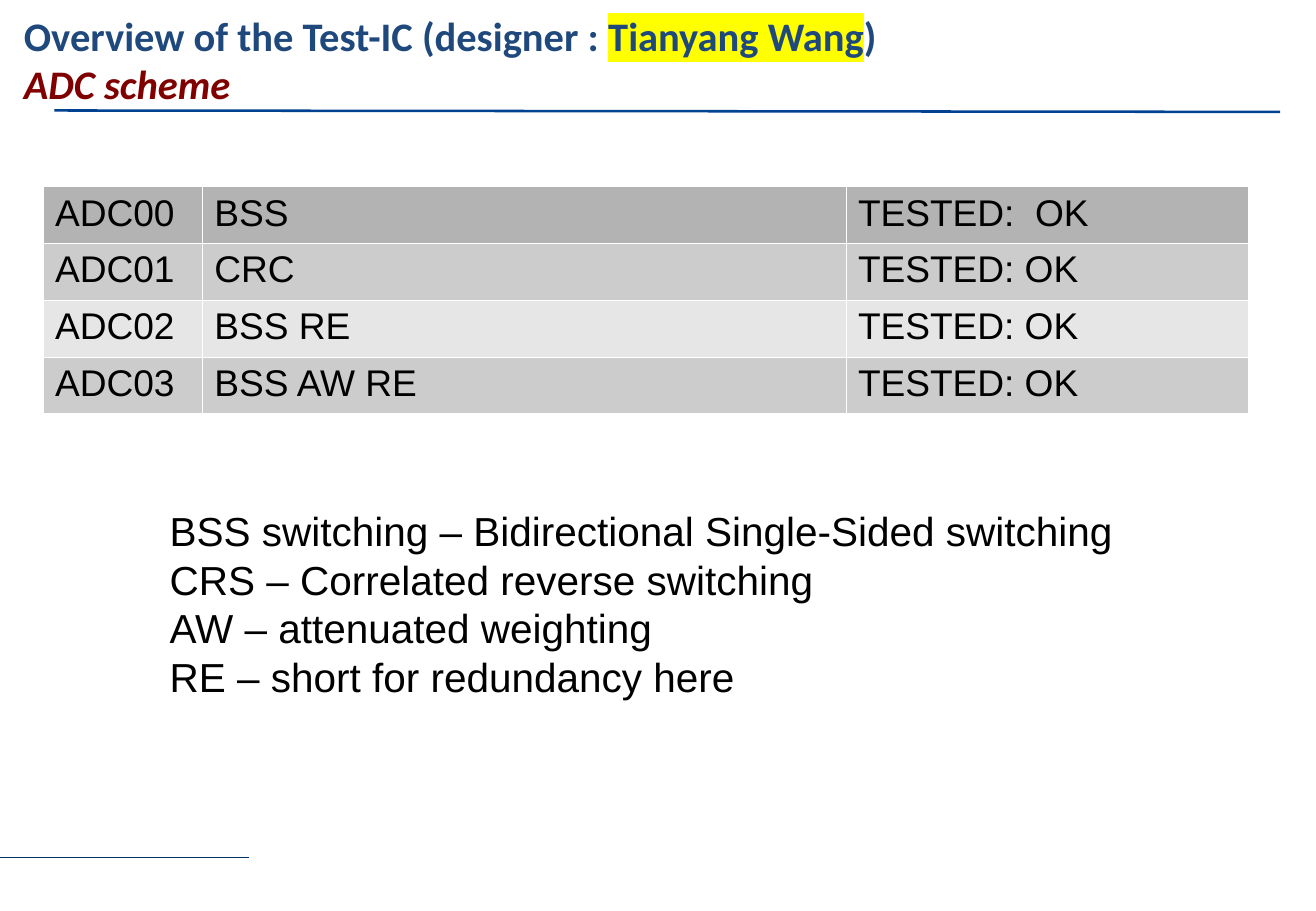
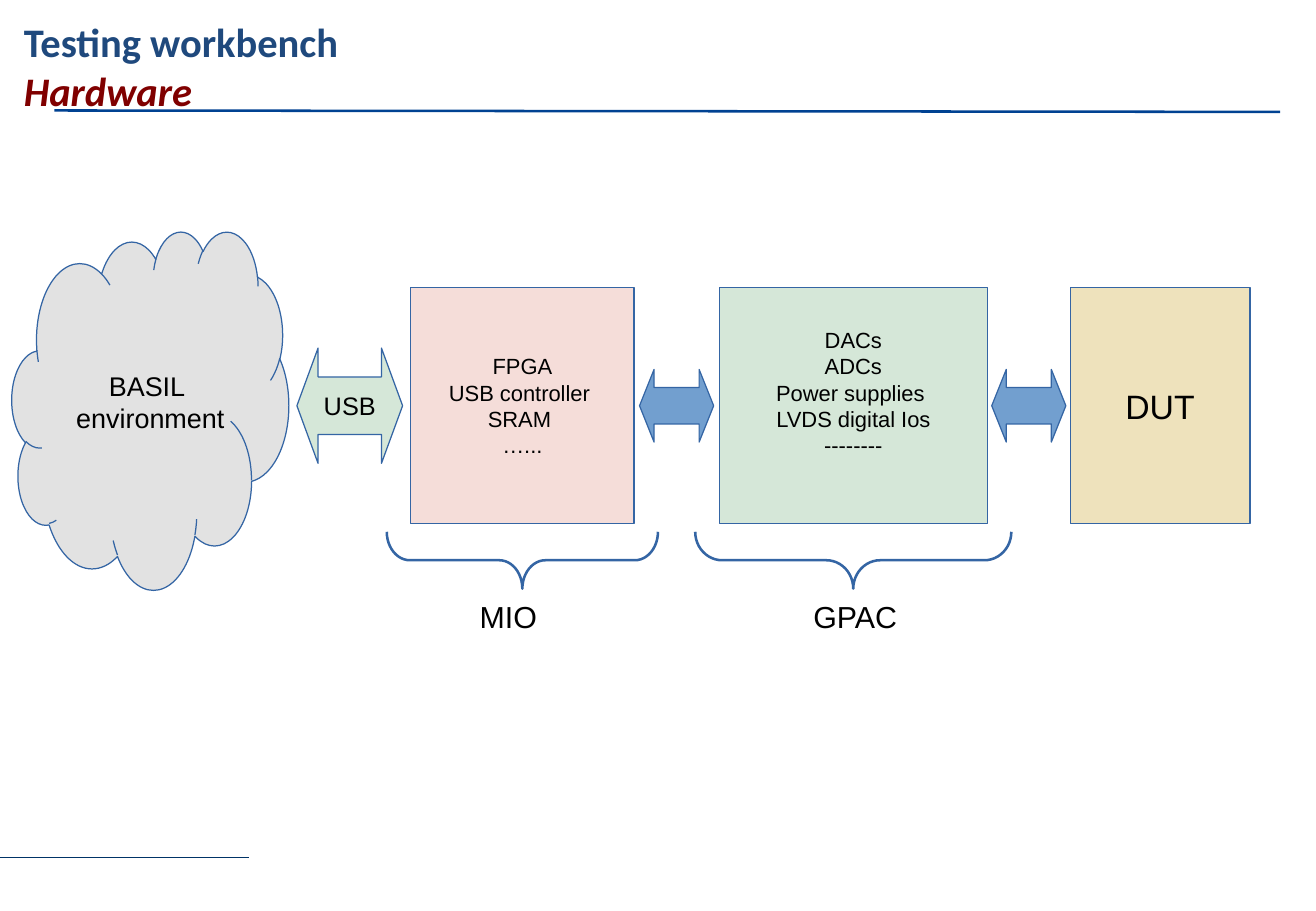
from collections import namedtuple

from lxml.etree import SubElement
from pptx import Presentation
from pptx.dml.color import RGBColor
from pptx.enum.shapes import MSO_CONNECTOR, MSO_SHAPE
from pptx.enum.text import MSO_ANCHOR, PP_ALIGN
from pptx.oxml.ns import qn
from pptx.util import Cm, Pt

COLORS = {
    "title": "1F497D", "subtitle": "800000", "highlight": "FFFF00",
    "title_rule": "004292", "footer_rule": "003366",
    "text": "000000", "outline": "3465A4", "border": "FFFFFF",
    "table_head": "B3B3B3", "table_odd": "CCCCCC", "table_even": "E6E6E6",
    "cloud": "E2E2E2", "green": "D5E7D8", "pink": "F5DDD9",
    "sand": "EEE2BC", "link": "729FCF",
}
BODY_FONT, TITLE_FONT = "Arial", "Calibri"

Box = namedtuple("Box", "left top width height")
Module = namedtuple("Module", "left width fill size lines bottom_inset")


def rgb(name):
    """Return the named palette colour."""
    return RGBColor.from_string(COLORS[name])


def place(box):
    """Turn a box in centimetres into lengths."""
    return [Cm(value) for value in box]


def add_run(paragraph, text, size, color="text", font=BODY_FONT, bold=None, italic=None):
    """Append one formatted run and return it."""
    run = paragraph.add_run()
    run.text = text
    run.font.size = Pt(size)
    run.font.name = font
    run.font.bold = bold
    run.font.italic = italic
    run.font.color.rgb = rgb(color)
    return run


def highlight(run):
    """Mark a run with the highlight colour."""
    marker = run.font._element.makeelement(qn("a:highlight"), {})
    SubElement(marker, qn("a:srgbClr"), val=COLORS["highlight"])
    run.font._element.find(qn("a:solidFill")).addnext(marker)


def write_lines(frame, lines, size, align=PP_ALIGN.LEFT):
    """Write one paragraph for each line."""
    for index, line in enumerate(lines):
        paragraph = frame.paragraphs[0] if index == 0 else frame.add_paragraph()
        paragraph.alignment = align
        add_run(paragraph, line, size)


def add_text(slide, box, lines, size):
    """Place a left-aligned text box."""
    frame = slide.shapes.add_textbox(*place(box)).text_frame
    frame.word_wrap = True
    write_lines(frame, lines, size)


def add_rule(slide, start, end, color, width):
    """Draw a straight line without shadow."""
    rule = slide.shapes.add_connector(MSO_CONNECTOR.STRAIGHT, *place(start + end))
    rule.line.color.rgb = rgb(color)
    rule.line.width = Pt(width)
    SubElement(rule._element.spPr, qn("a:effectLst"))


def add_figure(slide, preset, box, fill=None, line_width=0, adjustments=()):
    """Place a preset shape in the diagram style."""
    figure = slide.shapes.add_shape(preset, *place(box))
    figure.shadow.inherit = False
    for index, value in enumerate(adjustments):
        figure.adjustments[index] = value
    if fill:
        figure.fill.solid()
        figure.fill.fore_color.rgb = rgb(fill)
    else:
        figure.fill.background()
    figure.line.color.rgb = rgb("outline")
    figure.line.width = Pt(line_width)
    return figure


def label_figure(figure, lines, size, left_inset=0.25, bottom_inset=0.13):
    """Centre lines of text inside a figure."""
    frame = figure.text_frame
    frame.word_wrap = False
    frame.vertical_anchor = MSO_ANCHOR.MIDDLE
    frame.margin_left, frame.margin_bottom = Cm(left_inset), Cm(bottom_inset)
    write_lines(frame, lines, size, PP_ALIGN.CENTER)


def new_slide(deck, title_top, title_parts, subtitle):
    """Add a slide with rules, title and subtitle; title parts are (text, marked)."""
    slide = deck.slides.add_slide(deck.slide_layouts[6])
    add_rule(slide, (1.14, 2.31), (26.77, 2.34), "title_rule", 1.5)
    add_rule(slide, (0, 17.93), (5.21, 17.93), "footer_rule", 0.75)
    frame = slide.shapes.add_textbox(*place(Box(0.25, title_top, 20.8, 2.3))).text_frame
    frame.word_wrap = True
    heading = frame.paragraphs[0]
    for text, marked in title_parts:
        run = add_run(heading, text, 24, "title", TITLE_FONT, bold=True)
        if marked:
            highlight(run)
    heading.add_line_break()
    add_run(heading, subtitle, 24, "subtitle", TITLE_FONT, bold=True, italic=True)
    return slide


def add_borders(cell):
    """Give a cell thin borders on all sides, ahead of its fill."""
    properties = cell._tc.get_or_add_tcPr()
    for index, side in enumerate(("a:lnL", "a:lnR", "a:lnT", "a:lnB")):
        edge = properties.makeelement(qn(side), {"w": str(Pt(0.06))})
        SubElement(SubElement(edge, qn("a:solidFill")), qn("a:srgbClr"), val=COLORS["border"])
        properties.insert(index, edge)


def add_scheme_table(slide, box, rows, shares):
    """Fill the box with the converter table; shares are the column widths."""
    table = slide.shapes.add_table(len(rows), len(shares), *place(box)).table
    for column, share in zip(table.columns, shares):
        column.width = Cm(box.width * share / sum(shares))
    for row_index, row in enumerate(rows):
        table.rows[row_index].height = Cm(box.height / len(rows))
        band = "table_odd" if row_index % 2 else "table_even"
        for column_index, text in enumerate(row):
            cell = table.cell(row_index, column_index)
            cell.fill.solid()
            cell.fill.fore_color.rgb = rgb(band if row_index else "table_head")
            add_borders(cell)
            write_lines(cell.text_frame, [text], 22)


def add_double_arrow(slide, left_edge, right_edge, middle, width, height, fill):
    """Centre a double arrow in the gap between two edges."""
    box = Box((left_edge + right_edge - width) / 2, middle - height / 2, width, height)
    return add_figure(slide, MSO_SHAPE.LEFT_RIGHT_ARROW, box, fill, adjustments=(0.5, 0.2))


def add_module_name(slide, box, name, indent):
    """Bracket a module from below and name it."""
    overhang, depth, gap = 0.5, 1.19, 0.17
    length = box.width + 2 * overhang
    center = box.left + box.width / 2
    top = box.top + box.height + gap
    upright = Box(center - depth / 2, top + (depth - length) / 2, depth, length)
    brace = add_figure(slide, MSO_SHAPE.LEFT_BRACE, upright, line_width=1.5,
                       adjustments=(0.085 * length / depth, 0.5))
    brace.rotation = 270
    add_text(slide, Box(box.left + indent, top + depth + 0.08, 3.02, 1.27), [name], 18)


def add_workbench(slide, area):
    """Draw the chain from environment to device in the given area."""
    cloud_box = Box(area.left, area.top, 5.79, area.height)
    cloud = add_figure(slide, MSO_SHAPE.CLOUD, cloud_box, "cloud")
    label_figure(cloud, ["BASIL ", "environment"], 16, left_inset=0.66)

    modules = [
        Module(8.34, 4.67, "pink", 13,
               ["FPGA", "USB controller ", "SRAM ", "…..."], 0.13),
        Module(14.79, 5.61, "green", 13,
               ["DACs", "ADCs", "Power supplies ", "LVDS digital Ios", "--------"], 0.68),
        Module(22.13, 3.76, "sand", 20, ["DUT"], 0.13),
    ]
    boxes = [Box(area.left + module.left, area.top + 1.19, module.width, 4.93)
             for module in modules]
    for module, box in zip(modules, boxes):
        figure = add_figure(slide, MSO_SHAPE.RECTANGLE, box, module.fill)
        label_figure(figure, module.lines, module.size, bottom_inset=module.bottom_inset)

    middle = boxes[0].top + boxes[0].height / 2
    usb = add_double_arrow(slide, cloud_box.left + cloud_box.width, boxes[0].left,
                           middle, 2.21, 2.41, "green")
    label_figure(usb, ["USB"], 15)
    for before, after in zip(boxes, boxes[1:]):
        add_double_arrow(slide, before.left + before.width, after.left,
                         middle, 1.55, 1.52, "link")
    for box, name, indent in zip(boxes, ("MIO", "GPAC"), (1.19, 1.72)):
        add_module_name(slide, box, name, indent)


def main():
    """Build and save the two slides."""
    deck = Presentation()
    deck.slide_width, deck.slide_height = Cm(27.52), Cm(19.05)

    overview = new_slide(deck, 0.1, [("Overview of the Test-IC (designer : ", False),
                                     ("Tianyang Wang", True), (")", False)], "ADC scheme")
    add_scheme_table(overview, Box(0.9, 3.9, 25.2, 4.52), [
        ("ADC00", "BSS", "TESTED:  OK"),
        ("ADC01", "CRC", "TESTED: OK"),
        ("ADC02", "BSS RE", "TESTED: OK"),
        ("ADC03", "BSS AW RE", "TESTED: OK"),
    ], (3.33, 13.46, 8.41))
    add_text(overview, Box(3.3, 10.46, 20.8, 4.98), [
        "BSS switching – Bidirectional Single-Sided switching",
        "CRS – Correlated reverse switching",
        "AW – attenuated weighting",
        "RE – short for redundancy here",
    ], 24)

    workbench = new_slide(deck, 0.23, [("Testing workbench", False)], "Hardware")
    add_workbench(workbench, Box(0.25, 4.83, 25.89, 7.49))
    deck.save("out.pptx")


if __name__ == "__main__":
    main()
